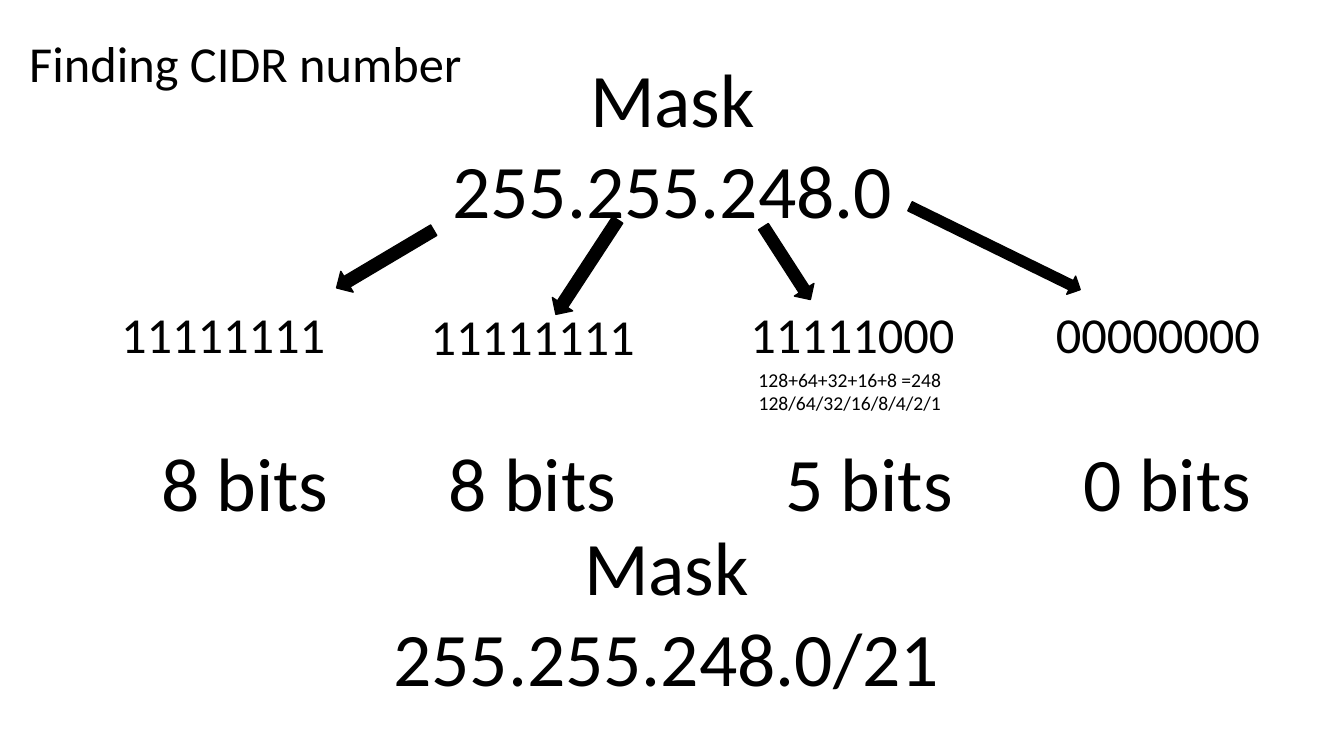
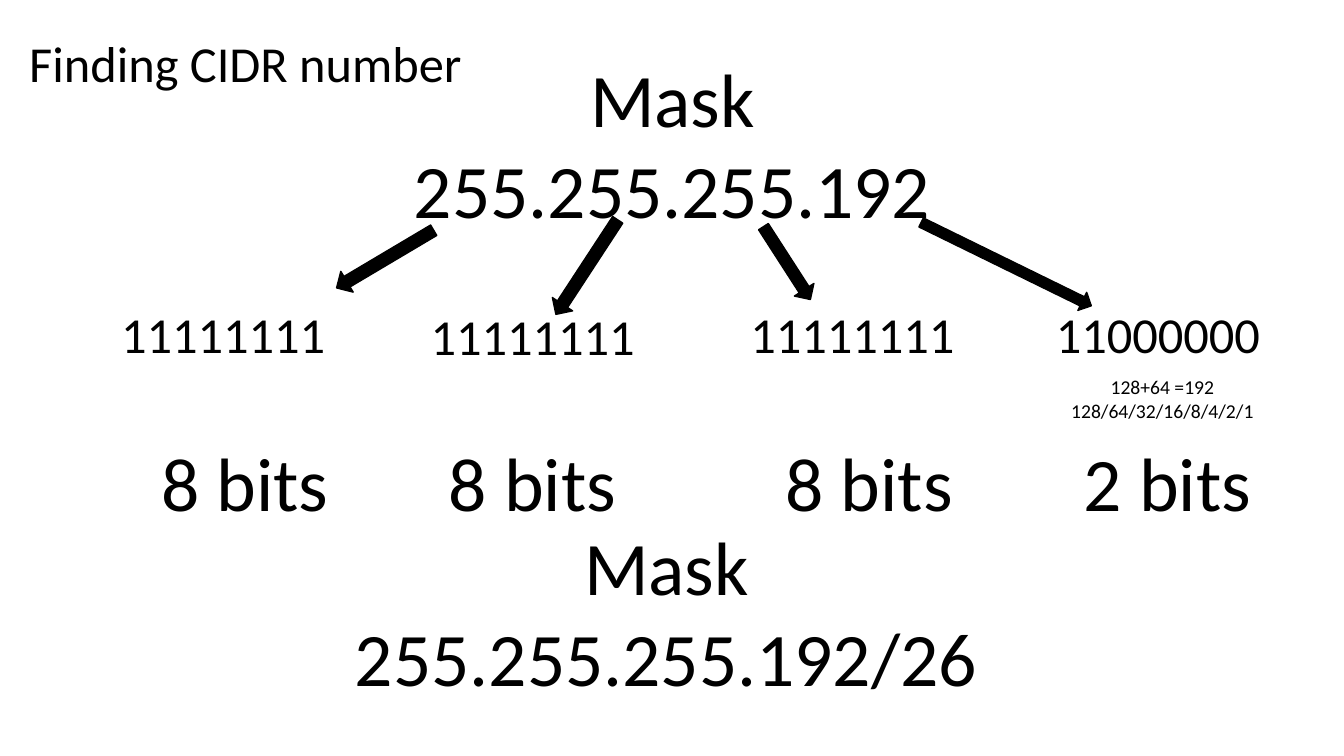
"""Build two slides that derive the CIDR number of a subnet mask."""
import dataclasses

import pptx
import pptx.dml.color
import pptx.enum.shapes
import pptx.enum.text
import pptx.util

Inches = pptx.util.Inches
BLACK = pptx.dml.color.RGBColor(0, 0, 0)
WHITE = pptx.dml.color.RGBColor(255, 255, 255)
FONT = "Calibri"
BIG, MEDIUM, SMALL = 54, 36, 14
MASK_CENTER, RESULT_CENTER = 6.67, 6.61
PLACE_VALUES = [2 ** n for n in range(7, -1, -1)]


@dataclasses.dataclass(frozen=True)
class Arrow:
    left: float
    top: float
    width: float
    height: float
    rotation: float


@dataclasses.dataclass(frozen=True)
class Column:
    binary_left: float
    binary_top: float
    binary_width: float
    bits_left: float
    wrap: bool = False


@dataclasses.dataclass(frozen=True)
class Example:
    octets: tuple[int, ...]
    mask_width: float
    result_width: float
    noted_octet: int
    note_left: float
    note_top: float
    last_arrow: Arrow


COLUMNS = (
    Column(0.58, 2.96, 3.27, 1.49, wrap=True),
    Column(4.16, 2.98, 2.25, 4.34),
    Column(7.33, 2.96, 2.25, 7.68),
    Column(10.36, 2.96, 2.25, 10.64),
)
ARROWS = (
    Arrow(3.7, 2.01, 0.24, 1.12, 59.3),
    Arrow(5.7, 2.09, 0.24, 1.12, 33.2),
    Arrow(7.69, 2.18, 0.23, 0.86, 327.2),
)
EXAMPLES = (
    Example((255, 255, 248, 0), 4.61, 5.68, 2, 7.41, 3.6,
            Arrow(9.77, 1.52, 0.2, 1.88, 296.1)),
    Example((255, 255, 255, 192), 5.38, 6.44, 3, 10.51, 3.67,
            Arrow(9.88, 1.68, 0.2, 1.88, 296.1)),
)


def add_text(s, text: str, left: float, top: float, width: float, height: float,
             *, size: int = BIG, wrap: bool = False) -> None:
    """Add centred text, one paragraph for each line."""
    sp = s.shapes.add_textbox(Inches(left), Inches(top), Inches(width), Inches(height))
    tf = sp.text_frame
    tf.word_wrap = wrap
    tf.auto_size = pptx.enum.text.MSO_AUTO_SIZE.SHAPE_TO_FIT_TEXT
    tf.text = text
    for p in tf.paragraphs:
        p.alignment = pptx.enum.text.PP_ALIGN.CENTER
        for r in p.runs:
            r.font.name = FONT
            r.font.size = pptx.util.Pt(size)
            r.font.color.rgb = BLACK


def add_arrow(s, arrow: Arrow) -> None:
    """Add a rotated black block arrow."""
    sp = s.shapes.add_shape(
        pptx.enum.shapes.MSO_SHAPE.DOWN_ARROW, Inches(arrow.left), Inches(arrow.top),
        Inches(arrow.width), Inches(arrow.height))
    sp.rotation = arrow.rotation
    sp.shadow.inherit = False
    sp.fill.solid()
    sp.fill.fore_color.rgb = BLACK
    sp.line.color.rgb = BLACK
    sp.line.width = pptx.util.Pt(1)


def add_mask(s, mask: str, center: float, top: float, width: float) -> None:
    """Add a labelled mask centred on a vertical axis."""
    add_text(s, f"Mask\n{mask}", center - width / 2, top, width, 1.92)


def add_example(prs, example: Example) -> None:
    """Add a slide that counts the mask bits of each octet."""
    s = prs.slides.add_slide(prs.slide_layouts[6])
    s.background.fill.solid()
    s.background.fill.fore_color.rgb = WHITE
    mask = ".".join(map(str, example.octets))
    bit_counts = [octet.bit_count() for octet in example.octets]

    add_mask(s, mask, MASK_CENTER, 0.47, example.mask_width)
    for col, octet, bits in zip(COLUMNS, example.octets, bit_counts):
        add_text(s, f"{octet:08b}", col.binary_left, col.binary_top,
                 col.binary_width, 0.71, size=MEDIUM, wrap=col.wrap)
        add_text(s, f"{bits} bits", col.bits_left, 4.28, 1.88, 1.01)
    for arrow in (*ARROWS, example.last_arrow):
        add_arrow(s, arrow)
    add_mask(s, f"{mask}/{sum(bit_counts)}", RESULT_CENTER, 5.11, example.result_width)

    noted = example.octets[example.noted_octet]
    terms = "+".join(str(value) for value in PLACE_VALUES if noted & value)
    places = "/".join(map(str, PLACE_VALUES))
    add_text(s, f"{terms} ={noted}\n{places}", example.note_left, example.note_top,
             2.04, 0.57, size=SMALL)
    add_text(s, "Finding CIDR number", 0.17, 0.27, 4.53, 0.71, size=MEDIUM)


def main() -> None:
    """Build and save the presentation."""
    prs = pptx.Presentation()
    prs.slide_width, prs.slide_height = Inches(13.33), Inches(7.5)
    for example in EXAMPLES:
        add_example(prs, example)
    prs.save("out.pptx")


if __name__ == "__main__":
    main()
